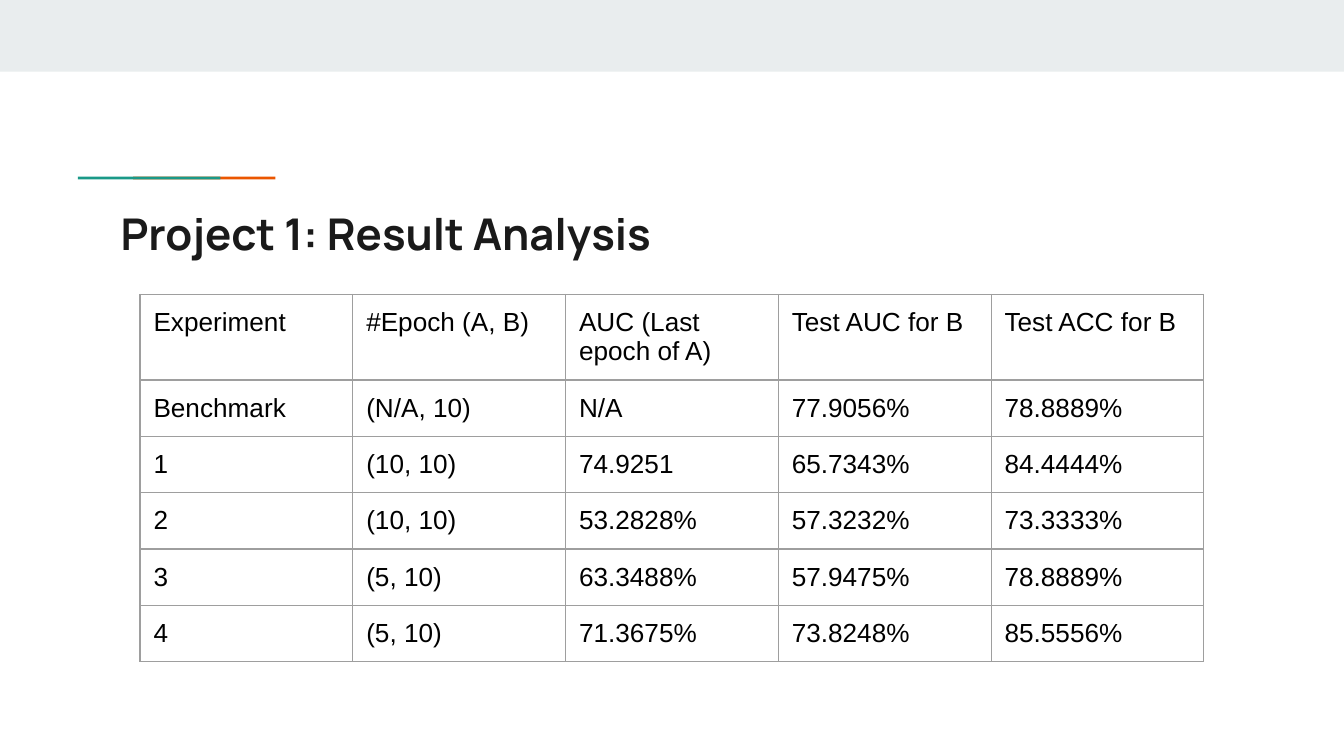
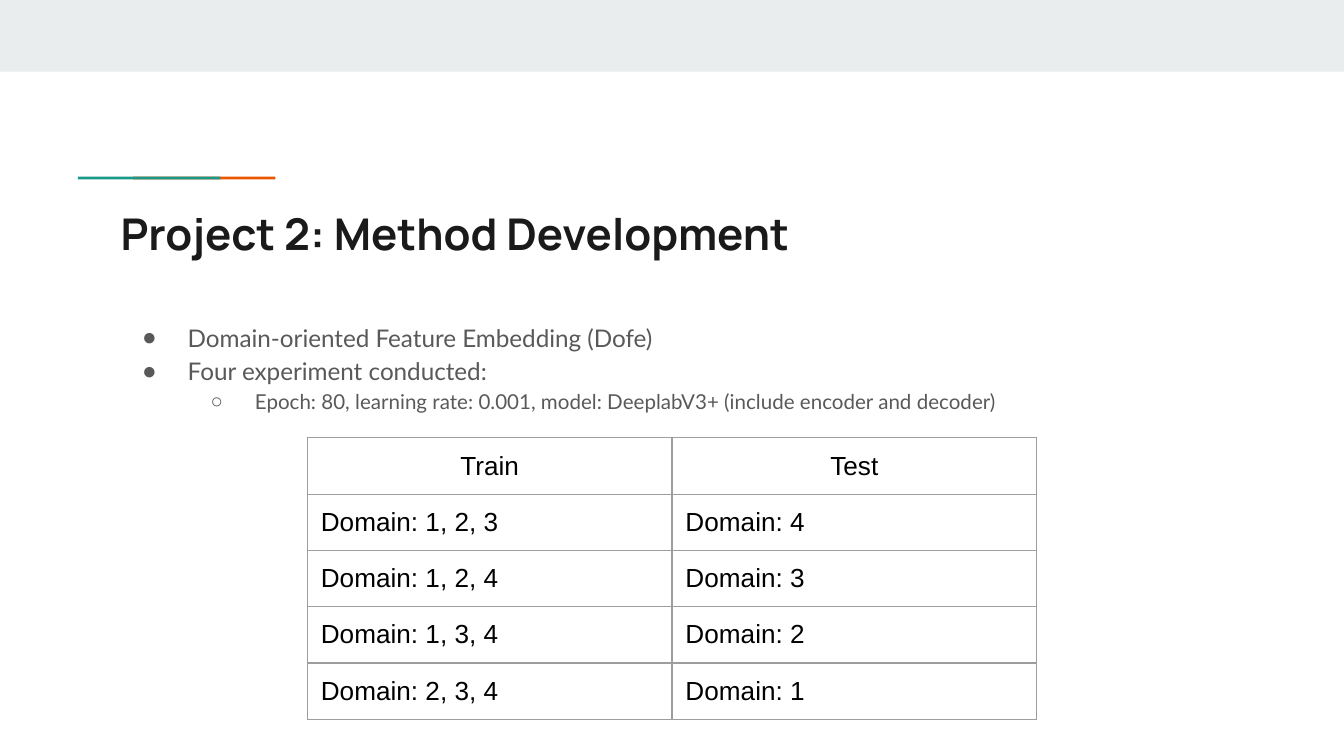
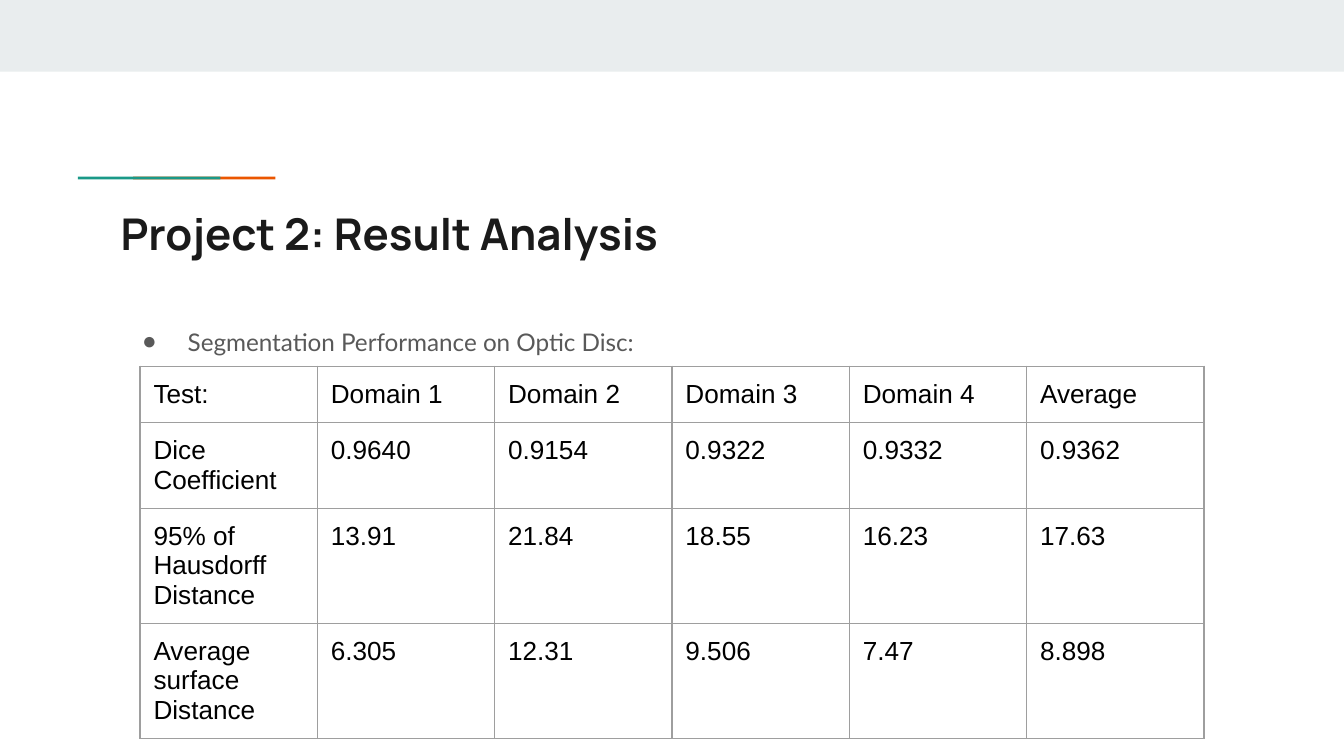
from dataclasses import dataclass

from pptx import Presentation
from pptx.dml.color import RGBColor
from pptx.enum.shapes import MSO_SHAPE
from pptx.enum.text import MSO_ANCHOR, MSO_AUTO_SIZE, PP_ALIGN
from pptx.oxml import parse_xml
from pptx.oxml.ns import nsdecls
from pptx.util import Inches, Pt


@dataclass(frozen=True)
class Theme:
    background: str = "FFFFFF"
    band: str = "E9EDEE"
    green: str = "1A9988"
    orange: str = "EB5600"
    title: str = "1A1A1A"
    body: str = "595959"
    table: str = "000000"
    border: str = "9E9E9E"
    title_font: str = "Manrope"
    body_font: str = "Lato"
    bullet_font: str = "Arial"
    table_font: str = "Arial"
    title_size: float = 23.4
    bullet_sizes: tuple = (13, 11)
    table_size: float = 14
    border_width: float = 0.75


GRID_UNIT = 0.1
COLUMNS, ROWS = 100, 56.25
TITLE_ONLY, TITLE_AND_BODY = 5, 1
BULLETS = (("●", 5, 3.4), ("○", 10, 3.3))


def grid(count):
    return Inches(count * GRID_UNIT)


def write(para, text, *, font, size, color, bold=False, align=PP_ALIGN.LEFT):
    para.alignment = align
    span = para.add_run()
    span.text = text
    span.font.name = font
    span.font.size = Pt(size)
    span.font.bold = bold
    span.font.color.rgb = RGBColor.from_string(color)


class Slides:
    def __init__(self, theme):
        self.theme = theme
        self.deck = Presentation()
        self.deck.slide_width = grid(COLUMNS)
        self.deck.slide_height = grid(ROWS)
        self.page = None

    def add_page(self, title, layout=TITLE_AND_BODY):
        theme = self.theme
        self.page = self.deck.slides.add_slide(self.deck.slide_layouts[layout])
        self.page.background.fill.solid()
        self.page.background.fill.fore_color.rgb = RGBColor.from_string(theme.background)
        self.rectangle(0, 0, COLUMNS, 5.33, theme.band)
        for left, color in ((9.9, theme.orange), (5.8, theme.green)):
            self.rectangle(left, 13.15, 10.6, 0.2, color)
        frame = self.place(self.page.shapes.title, 14.4, 5.9)
        write(frame.paragraphs[0], title, font=theme.title_font,
              size=theme.title_size, color=theme.title, bold=True)

    def rectangle(self, left, top, width, height, color):
        shape = self.page.shapes.add_shape(
            MSO_SHAPE.RECTANGLE, grid(left), grid(top), grid(width), grid(height))
        shape.shadow.inherit = False
        shape.fill.solid()
        shape.fill.fore_color.rgb = RGBColor.from_string(color)
        shape.line.fill.background()

    def place(self, box, top, height):
        box.left, box.top = grid(7.97), grid(top)
        box.width, box.height = grid(84.1), grid(height)
        frame = box.text_frame
        frame.word_wrap = True
        frame.auto_size = MSO_AUTO_SIZE.NONE
        frame.vertical_anchor = MSO_ANCHOR.TOP
        frame.margin_left = frame.margin_right = grid(1)
        frame.margin_top = frame.margin_bottom = grid(1)
        return frame

    def bullets(self, top, items):
        theme = self.theme
        frame = self.place(self.page.placeholders[1], top, 24.7)
        for index, (level, text) in enumerate(items):
            para = frame.add_paragraph() if index else frame.paragraphs[0]
            para.level = level
            para.line_spacing = 1.15
            para.space_before = Pt(0)
            write(para, text, font=theme.body_font,
                  size=theme.bullet_sizes[level], color=theme.body)
            self.bullet_mark(para, *BULLETS[level])

    def bullet_mark(self, para, mark, margin, hanging):
        properties = para._p.get_or_add_pPr()
        properties.set("marL", str(grid(margin)))
        properties.set("indent", str(-grid(hanging)))
        for xml in (
            f'<a:buClr {nsdecls("a")}><a:srgbClr val="{self.theme.body}"/></a:buClr>',
            f'<a:buFont {nsdecls("a")} typeface="{self.theme.bullet_font}"/>',
            f'<a:buChar {nsdecls("a")} char="{mark}"/>',
        ):
            properties.append(parse_xml(xml))

    def table(self, left, top, width, row_height, records, header_align=PP_ALIGN.LEFT):
        theme = self.theme
        table = self.page.shapes.add_table(
            len(records), len(records[0]), grid(left), grid(top),
            grid(width), grid(row_height * len(records))).table
        table.first_row = table.horz_banding = False
        for row_index, record in enumerate(records):
            align = PP_ALIGN.LEFT if row_index else header_align
            for column_index, text in enumerate(record):
                cell = table.cell(row_index, column_index)
                cell.margin_left = cell.margin_right = grid(1)
                cell.margin_top = cell.margin_bottom = grid(1)
                self.borders(cell)
                cell.fill.background()
                write(cell.text_frame.paragraphs[0], text, font=theme.table_font,
                      size=theme.table_size, color=theme.table, align=align)

    def borders(self, cell):
        properties = cell._tc.get_or_add_tcPr()
        for side in ("lnL", "lnR", "lnT", "lnB"):
            properties.append(parse_xml(
                f'<a:{side} {nsdecls("a")} w="{Pt(self.theme.border_width)}">'
                f'<a:solidFill><a:srgbClr val="{self.theme.border}"/></a:solidFill>'
                f'</a:{side}>'))


def main():
    slides = Slides(Theme())

    slides.add_page("Project 1: Result Analysis", TITLE_ONLY)
    slides.table(10.42, 21.9, 79.16, 4.16, [
        ("Experiment", "#Epoch (A, B)", "AUC (Last epoch of A)",
         "Test AUC for B", "Test ACC for B"),
        ("Benchmark", "(N/A, 10)", "N/A", "77.9056%", "78.8889%"),
        ("1", "(10, 10)", "74.9251", "65.7343%", "84.4444%"),
        ("2", "(10, 10)", "53.2828%", "57.3232%", "73.3333%"),
        ("3", "(5, 10)", "63.3488%", "57.9475%", "78.8889%"),
        ("4", "(5, 10)", "71.3675%", "73.8248%", "85.5556%"),
    ])

    slides.add_page("Project 2: Method Development")
    slides.bullets(22.7, [
        (0, "Domain-oriented Feature Embedding (Dofe)"),
        (0, "Four experiment conducted:"),
        (1, "Epoch: 80, learning rate: 0.001, model: DeeplabV3+ "
            "(include encoder and decoder)"),
    ])
    slides.table(22.87, 32.58, 54.26, 3.8, [
        ("Train", "Test"),
        ("Domain: 1, 2, 3", "Domain: 4"),
        ("Domain: 1, 2, 4", "Domain: 3"),
        ("Domain: 1, 3, 4", "Domain: 2"),
        ("Domain: 2, 3, 4", "Domain: 1"),
    ], header_align=PP_ALIGN.CENTER)

    slides.add_page("Project 2: Result Analysis")
    slides.bullets(23, [(0, "Segmentation Performance on Optic Disc:")])
    slides.table(10.42, 27.25, 79.16, 4.16, [
        ("Test:", "Domain 1", "Domain 2", "Domain 3", "Domain 4", "Average"),
        ("Dice Coefficient", "0.9640", "0.9154", "0.9322", "0.9332", "0.9362"),
        ("95% of Hausdorff Distance", "13.91", "21.84", "18.55", "16.23", "17.63"),
        ("Average surface Distance", "6.305", "12.31", "9.506", "7.47", "8.898"),
    ])

    slides.deck.save("out.pptx")


if __name__ == "__main__":
    main()
